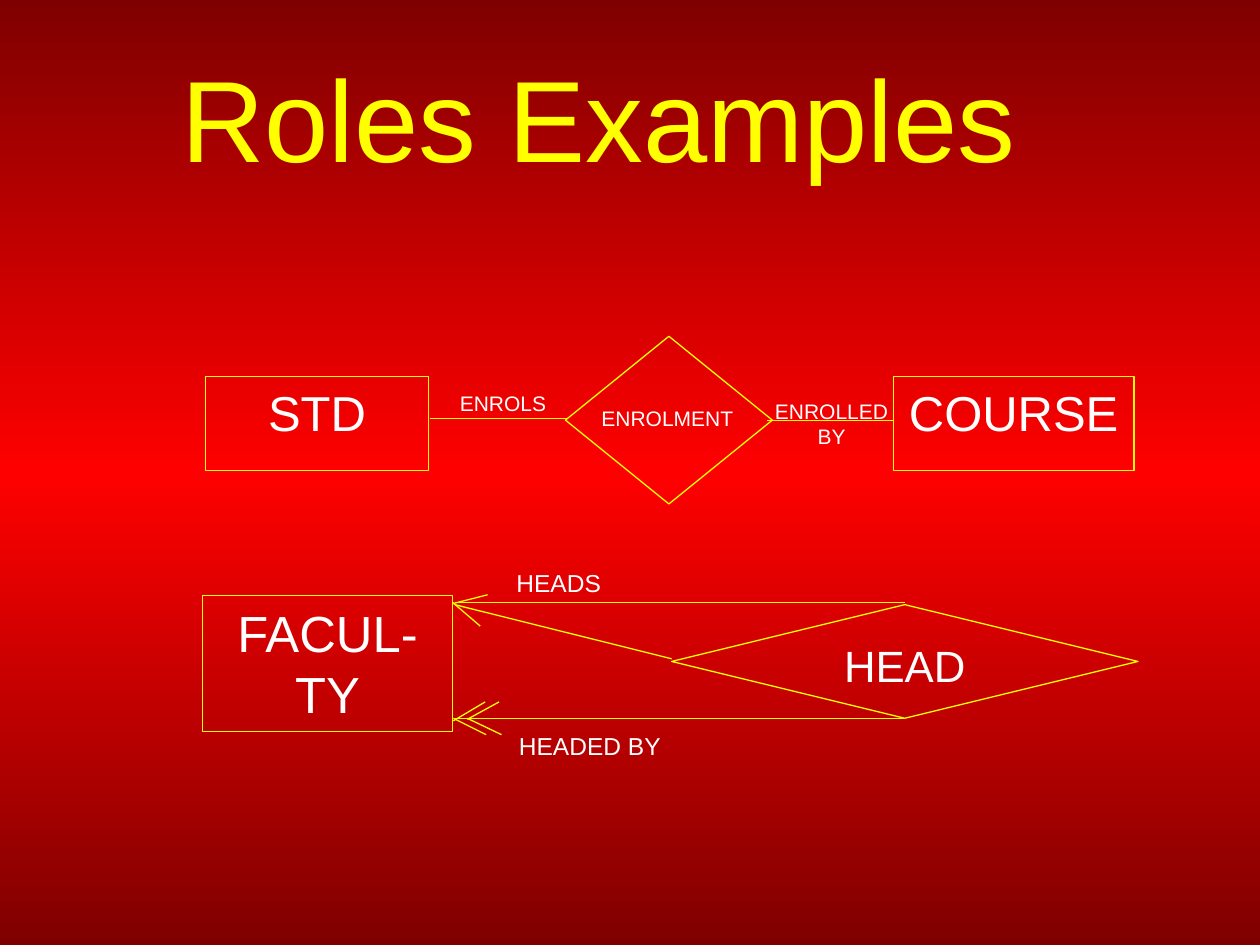
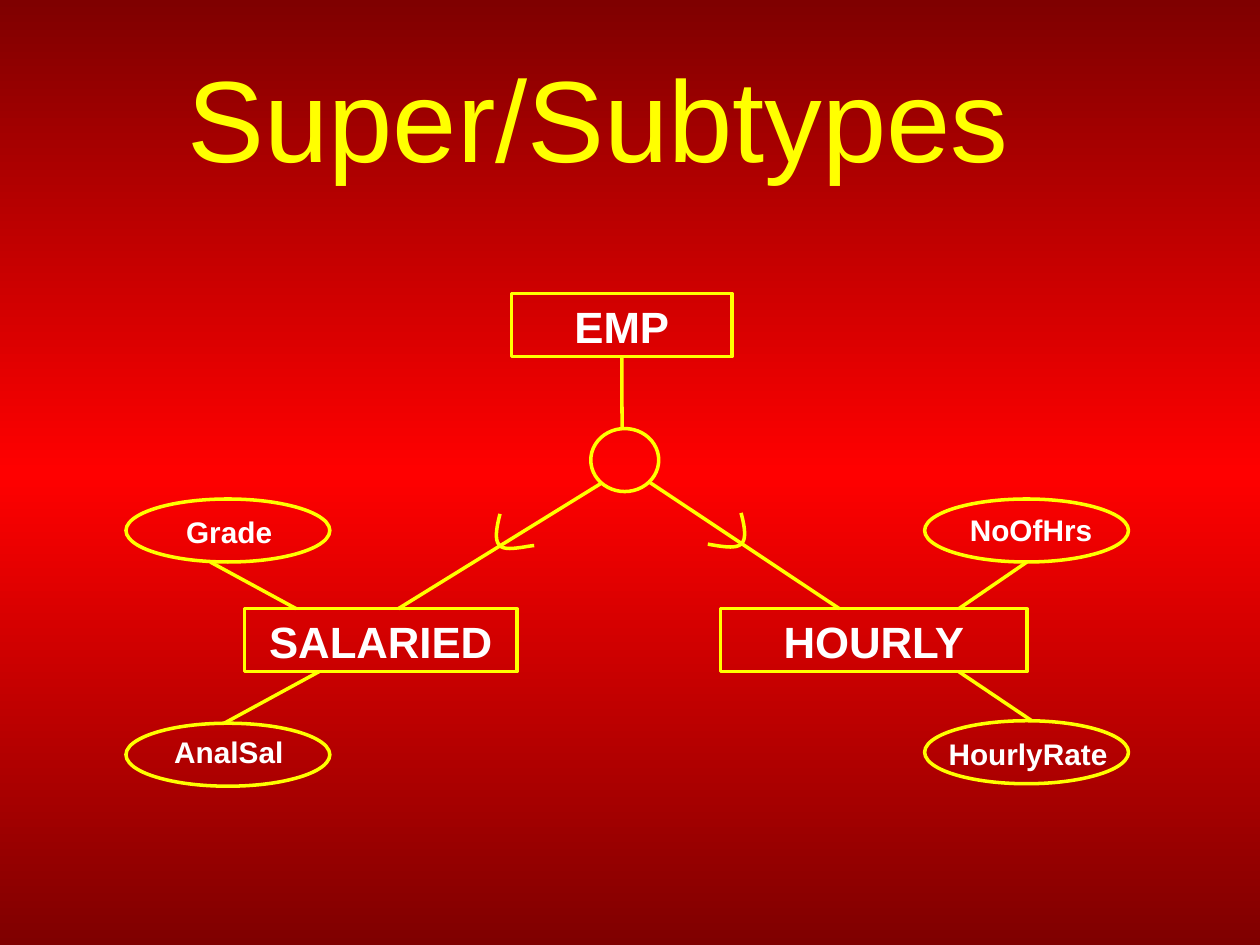
from copy import deepcopy
from pptx import Presentation
from pptx import util as u
from pptx.dml import color
from pptx.enum import shapes, text
from pptx.oxml import ns, xmlchemy

YELLOW, WHITE = "FFFF00", "FFFFFF"
SHADES = [(0, "7F0000"), (0.5, "FF0000"), (1, "7F0000")]
FONT = "Arial"
KIND = shapes.MSO_SHAPE
BOX, GEM, OVAL = KIND.RECTANGLE, KIND.DIAMOND, KIND.OVAL
LEFT, MID = text.PP_ALIGN.LEFT, text.PP_ALIGN.CENTER

ROLES = {
    "title": "Roles Examples",
    "weight": 0.75,
    "bold": False,
    "nodes": [
        (BOX, "COURSE", 28, (18.01, 7.59, 4.85, 1.9)),
        (BOX, "STD", 28, (4.14, 7.59, 4.5, 1.9)),
        (GEM, "", 12, (11.4, 6.78, 4.17, 3.38)),
        (BOX, "FACUL-\nTY", 29, (4.09, 12.01, 5.03, 2.74)),
        (GEM, "HEAD", 25, (13.54, 12.19, 9.4, 2.29)),
    ],
    "lines": [
        (15.47, 8.48, 18.01, 8.48),
        (8.66, 8.43, 11.43, 8.43),
        (13.54, 13.28, 9.17, 12.19),
        (18.24, 12.14, 9.17, 12.14),
        (18.24, 14.48, 9.17, 14.48),
        (9.12, 12.14, 9.68, 12.62),
        (9.12, 12.17, 9.83, 11.99),
        (9.14, 14.48, 9.8, 14.81),
        (9.14, 14.53, 9.78, 14.15),
        (9.42, 14.48, 10.11, 14.81),
        (9.42, 14.5, 10.06, 14.15),
    ],
    "labels": [
        ("ENROLS", 12, LEFT, (9.02, 7.75, 2.77, 0.94)),
        ("ENROLLED\nBY", 12, MID, (15.09, 7.9, 3.35, 1.55)),
        ("ENROLMENT", 12, MID, (11.73, 8.05, 3.45, 0.64)),
        ("HEADS", 14, LEFT, (10.16, 11.33, 2.74, 0.86)),
        ("HEADED BY", 14, LEFT, (10.21, 14.61, 3.76, 0.86)),
    ],
}

TYPES = {
    "title": "Super/Subtypes",
    "weight": 2,
    "bold": True,
    "nodes": [
        (BOX, "EMP", 25, (10.31, 5.92, 4.45, 1.27)),
        (BOX, "SALARIED", 25, (4.93, 12.27, 5.49, 1.27)),
        (BOX, "HOURLY", 25, (14.53, 12.27, 6.17, 1.27)),
        (OVAL, "", 17, (11.91, 8.64, 1.37, 1.27)),
        (OVAL, "", 17, (2.54, 10.06, 4.11, 1.27)),
        (OVAL, "", 17, (2.54, 14.58, 4.11, 1.27)),
        (OVAL, "", 17, (18.64, 14.53, 4.11, 1.27)),
        (OVAL, "", 17, (18.64, 10.06, 4.11, 1.27)),
    ],
    "lines": [
        ("EMP", 2, 12.54, 8.64),
        (12.14, 9.73, 8.03, 12.27),
        (13.06, 9.7, 16.92, 12.27),
        (4.24, 11.33, 5.97, 12.27),
        (4.52, 14.58, 6.43, 13.54),
        (20.7, 11.33, 19.33, 12.27),
        (19.33, 13.54, 20.8, 14.53),
    ],
    "labels": [
        ("Grade", 17, MID, (3.25, 10.24, 2.74, 0.94)),
        ("AnalSal", 17, MID, (2.9, 14.66, 3.43, 0.94)),
        ("NoOfHrs", 17, MID, (19.25, 10.19, 3.07, 0.97)),
        ("HourlyRate", 17, MID, (18.67, 14.71, 4.11, 0.94)),
    ],
    "hooks": [
        [(10.08, 10.36), (10.01, 10.64), (9.96, 10.9), (10.08, 11),
         (10.19, 11.13), (10.64, 11), (10.77, 11)],
        [(14.94, 10.34), (15.01, 10.6), (15.06, 10.87), (14.94, 10.97),
         (14.83, 11.07), (14.55, 11.02), (14.27, 10.97)],
    ],
}


def rgb(code):
    return color.RGBColor.from_string(code)


def cms(nums):
    return [u.Cm(n) for n in nums]


def paint(slide):
    fill = slide.background.fill
    fill.gradient()
    fill.gradient_angle = 270
    stop = next(slide._element.iter(ns.qn("a:gs")))
    stop.addnext(deepcopy(stop))
    for stop, (place, code) in zip(fill.gradient_stops, SHADES):
        stop.position = place
        stop.color.rgb = rgb(code)


def write(shape, words, size, align=MID, ink=WHITE, bold=False,
          anchor=text.MSO_ANCHOR.TOP):
    frame = shape.text_frame
    frame.word_wrap = True
    frame.vertical_anchor = anchor
    frame.text = words
    for para in frame.paragraphs:
        para.alignment = align
        font = para.font
        font.name, font.size, font.bold = FONT, u.Pt(size), bold
        font.color.rgb = rgb(ink)


def stroke(shape, weight):
    shape.line.color.rgb = rgb(YELLOW)
    shape.line.width = u.Pt(weight)


def outline(shape, weight):
    shape.shadow.inherit = False
    shape.fill.background()
    stroke(shape, weight)


def join(slide, ends, nodes, weight):
    start, side, x, y = ends
    bound = start in nodes
    first = (x, y) if bound else (start, side)
    line = slide.shapes.add_connector(
        shapes.MSO_CONNECTOR.STRAIGHT, *cms((*first, x, y)))
    if bound:
        line.begin_connect(nodes[start], side)
    stroke(line, weight)
    xmlchemy.OxmlElement("a:effectLst")
    line._element.spPr.append(xmlchemy.OxmlElement("a:effectLst"))


def curve(points, steps=12):
    dots = [points[0]]
    for i in range(0, len(points) - 1, 3):
        quad = points[i:i + 4]
        for k in range(1, steps + 1):
            t = k / steps
            s = 1 - t
            parts = (s ** 3, 3 * s * s * t, 3 * s * t * t, t ** 3)
            dots.append(tuple(sum(p * q[axis] for p, q in zip(parts, quad))
                              for axis in (0, 1)))
    return [cms(dot) for dot in dots]


def build(deck, page):
    slide = deck.slides.add_slide(deck.slide_layouts[6])
    paint(slide)
    weight, bold = page["weight"], page["bold"]
    title = slide.shapes.add_textbox(*cms((0, 0.76, 24.13, 3.18)))
    write(title, page["title"], 66, ink=YELLOW, anchor=text.MSO_ANCHOR.MIDDLE)
    nodes = {}
    for kind, words, size, place in page["nodes"]:
        node = slide.shapes.add_shape(kind, *cms(place))
        outline(node, weight)
        if words:
            write(node, words, size, bold=bold)
            nodes[words] = node
    for ends in page["lines"]:
        join(slide, ends, nodes, weight)
    for points in page.get("hooks", []):
        first, *rest = curve(points)
        pen = slide.shapes.build_freeform(*first)
        pen.add_line_segments(rest, close=False)
        outline(pen.convert_to_shape(), weight)
    for words, size, align, place in page["labels"]:
        write(slide.shapes.add_textbox(*cms(place)), words, size, align, bold=bold)


def main():
    deck = Presentation()
    deck.slide_width, deck.slide_height = cms((25.4, 19.05))
    for page in (ROLES, TYPES):
        build(deck, page)
    deck.save("out.pptx")


if __name__ == "__main__":
    main()
